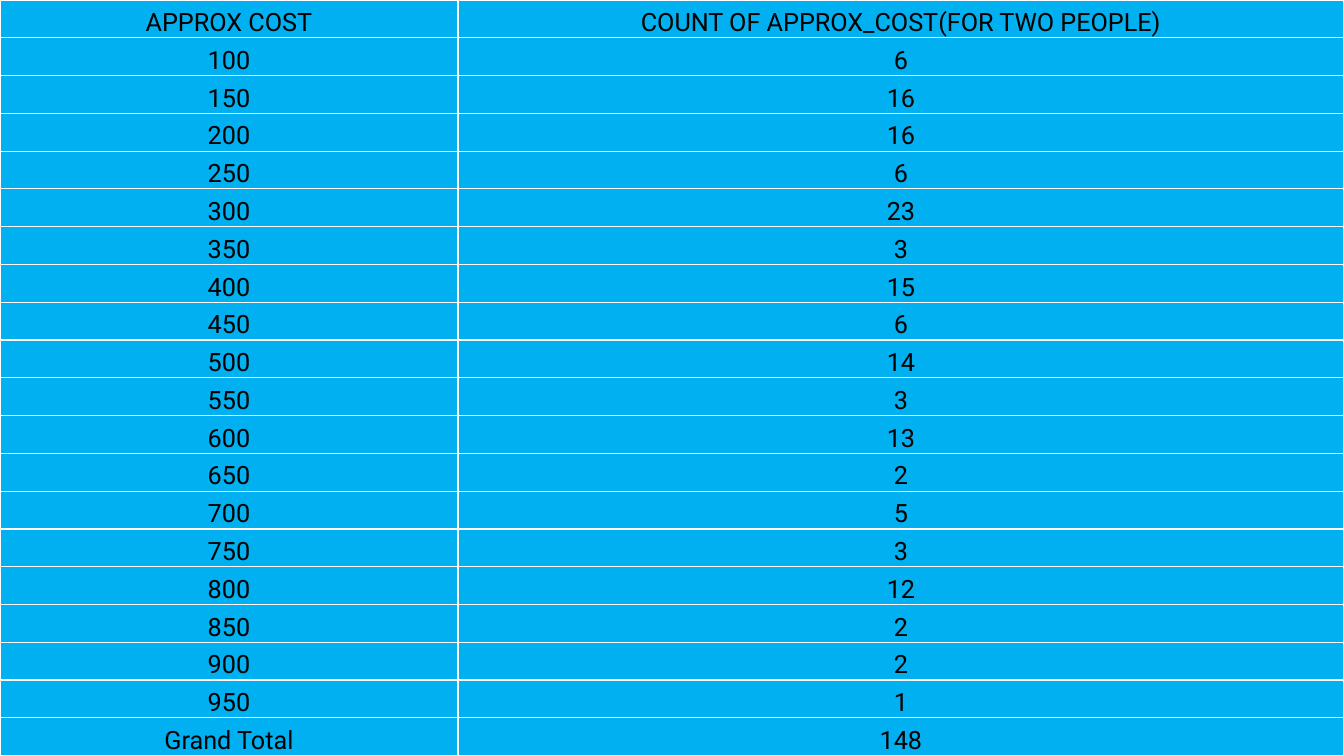
import copy

import pptx
import pptx.dml.color
import pptx.enum.text
import pptx.oxml
import pptx.oxml.ns
import pptx.util

SLIDE_W, SLIDE_H = 1344, 756
EMU_PER_PX = 914400 / 100.8
COLORS = {
    "cell": "00B0F0",
    "text": "000000",
    "border": "FFFFFF",
    "bg_light": "AFDE77",
    "bg_mid": "8BC25D",
    "bg_dark": "437528",
}
COLUMN_WIDTHS = [458, 886]
HEADER = ("APPROX COST", "COUNT OF APPROX_COST(FOR TWO PEOPLE)")
# Restaurants per cost step, from 100 upward in steps of 50
COUNTS = [6, 16, 16, 6, 23, 3, 15, 6, 14, 3, 13, 2, 5, 3, 12, 2, 2, 1]


def px(n):
    return pptx.util.Emu(round(n * EMU_PER_PX))


def rgb(name):
    return pptx.dml.color.RGBColor.from_string(COLORS[name])


def set_background(s):
    fill = s.background.fill
    fill.gradient()
    fill.gradient_angle = 318
    # A third stop, added to the default two
    stop_list = s.element.xpath(".//a:gsLst")[0]
    stop_list.append(copy.deepcopy(stop_list[0]))
    names = ("bg_light", "bg_mid", "bg_dark")
    for stop, name, position in zip(fill.gradient_stops, names, (0, 0.5, 1)):
        stop.color.rgb = rgb(name)
        stop.position = position


def add_borders(cell):
    tc_pr = cell._tc.get_or_add_tcPr()
    for side in "LRTB":
        tc_pr.append(pptx.oxml.parse_xml(
            f'<a:ln{side} {pptx.oxml.ns.nsdecls("a")} w="12700"><a:solidFill>'
            f'<a:srgbClr val="{COLORS["border"]}"/></a:solidFill></a:ln{side}>'))


def fill_cell(cell, text):
    add_borders(cell)
    cell.fill.solid()
    cell.fill.fore_color.rgb = rgb("cell")
    cell.margin_left = cell.margin_right = cell.margin_top = px(1)
    cell.margin_bottom = 0
    cell.vertical_anchor = pptx.enum.text.MSO_ANCHOR.BOTTOM
    p = cell.text_frame.paragraphs[0]
    p.alignment = pptx.enum.text.PP_ALIGN.CENTER
    r = p.add_run()
    r.text = str(text)
    r.font.name = "Roboto"
    r.font.size = pptx.util.Pt(18)
    r.font.color.rgb = rgb("text")


def add_cost_table(s, rows):
    table = s.shapes.add_table(len(rows), len(COLUMN_WIDTHS),
                               0, 0, px(SLIDE_W), px(SLIDE_H)).table
    for column, width in zip(table.columns, COLUMN_WIDTHS):
        column.width = px(width)
    for i, row in enumerate(rows):
        for j, text in enumerate(row):
            fill_cell(table.cell(i, j), text)


def main():
    prs = pptx.Presentation()
    prs.slide_width, prs.slide_height = px(SLIDE_W), px(SLIDE_H)
    s = prs.slides.add_slide(prs.slide_layouts[6])
    set_background(s)

    # Header, one row per cost, total
    costs = [(100 + 50 * i, count) for i, count in enumerate(COUNTS)]
    add_cost_table(s, [HEADER, *costs, ("Grand Total", sum(COUNTS))])
    prs.save("out.pptx")


if __name__ == "__main__":
    main()
